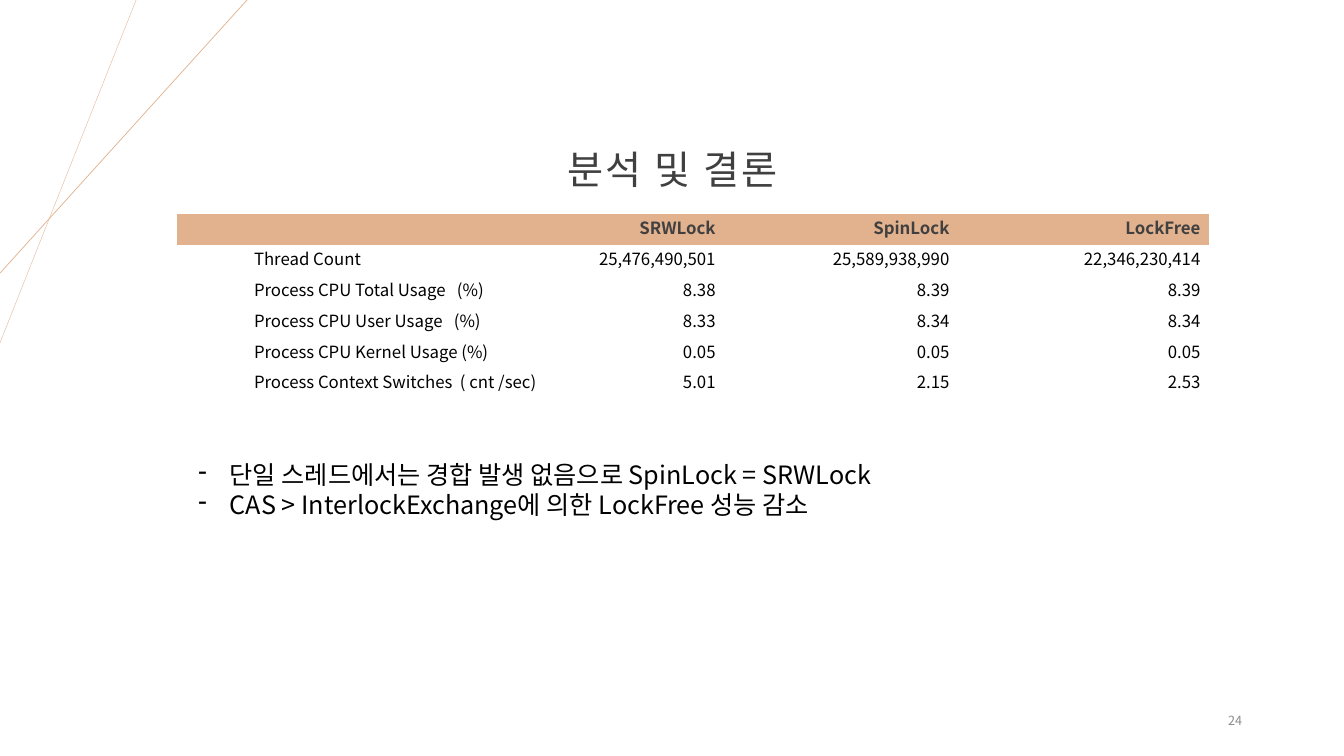
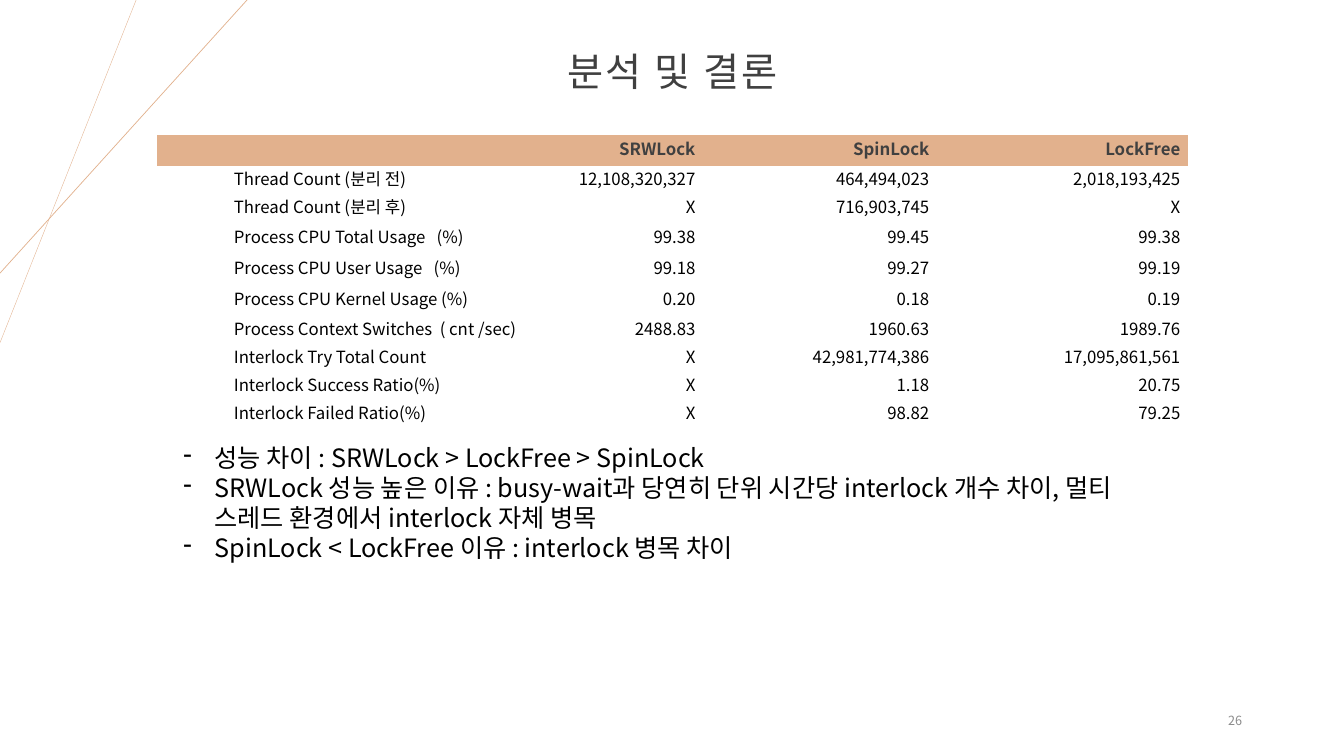
from lxml.etree import SubElement
from pptx import Presentation
from pptx.dml.color import RGBColor
from pptx.enum.shapes import MSO_CONNECTOR
from pptx.enum.text import MSO_ANCHOR as Anchor, PP_ALIGN as Align
from pptx.oxml.ns import qn
from pptx.util import Inches, Pt

# Shared style
FONT = "Noto Sans CJK KR"
PEACH = RGBColor(0xE2, 0xB1, 0x8D)
DARK = RGBColor(0x40, 0x40, 0x40)
GRAY = RGBColor(0x8C, 0x8C, 0x8C)
BLACK = RGBColor(0, 0, 0)
PLAIN_TABLE = "{2D5ABB26-0587-4C30-8999-92F81FD0307C}"

# Lengths are percentages of the slide's width and height
RAYS = [(10.13, 45.33, 0.25), (18.38, 36.13, 0.5)]
COLUMNS = [27.6, 13.05, 17.4, 18.68]
TALL, SHORT = 4.13, 3.73
TITLE = "분석 및 결론"
HEADER = ["", "SRWLock", "SpinLock", "LockFree"]


class SlideWriter:
    """Holds the deck, its style and the current slide."""

    def __init__(self):
        self.deck = Presentation()
        self.deck.slide_width = Inches(13.33)
        self.deck.slide_height = Inches(7.5)
        self.page = None

    def x(self, share):
        return round(self.deck.slide_width * share / 100)

    def y(self, share):
        return round(self.deck.slide_height * share / 100)

    def frame(self, left, top, width, height):
        return self.x(left), self.y(top), self.x(width), self.y(height)

    def new_page(self, number):
        self.page = self.deck.slides.add_slide(self.deck.slide_layouts[6])
        for across, down, weight in RAYS:
            self.ray(across, down, weight)
        self.text([str(number)], (70.65, 92.67, 22.5, 5.33), 9, GRAY,
                  Align.RIGHT, Anchor.MIDDLE)

    def ray(self, across, down, weight):
        line = self.page.shapes.add_connector(
            MSO_CONNECTOR.STRAIGHT, self.x(across), 0, 0, self.y(down))
        line.line.color.rgb = PEACH
        line.line.width = Pt(weight)
        SubElement(line._element.spPr, qn("a:effectLst"))

    def style(self, para, size, color, align=Align.LEFT, bold=False):
        para.alignment = align
        for span in para.runs:
            span.font.size = Pt(size)
            span.font.bold = bold
            span.font.color.rgb = color
            span.font.name = FONT
            SubElement(span._r.get_or_add_rPr(), qn("a:ea"), typeface=FONT)

    def text(self, lines, place, size, color, align=Align.LEFT, anchor=Anchor.TOP):
        box = self.page.shapes.add_textbox(*self.frame(*place))
        frame = box.text_frame
        frame.word_wrap = True
        frame.vertical_anchor = anchor
        frame.text = "\n".join(lines)
        for para in frame.paragraphs:
            self.style(para, size, color, align)
        return frame.paragraphs

    def title(self, top, height):
        para = self.text([TITLE], (15.5, top, 69.08, height), 28, DARK,
                         Align.CENTER, Anchor.MIDDLE)[0]
        para.line_spacing = 0.9
        para.runs[0]._r.get_or_add_rPr().set("spc", "150")

    def bullets(self, lines, place):
        for para in self.text(lines, place, 18, BLACK):
            para.line_spacing = Pt(21.5)
            props = para._p.get_or_add_pPr()
            props.set("marL", str(Inches(0.31)))
            props.set("indent", str(-Inches(0.31)))
            SubElement(props, qn("a:buChar"), char="-")

    def table(self, rows, heights, left, top):
        place = self.frame(left, top, sum(COLUMNS), sum(heights))
        table = self.page.shapes.add_table(len(rows), len(COLUMNS), *place).table
        table.first_row = table.horz_banding = False
        table._tbl.tblPr.find(qn("a:tableStyleId")).text = PLAIN_TABLE
        for column, width in zip(table.columns, COLUMNS):
            column.width = self.x(width)
        for row, height in zip(table.rows, heights):
            row.height = self.y(height)
        for r, values in enumerate(rows):
            for c, value in enumerate(values):
                self.cell(table.cell(r, c), value, header=r == 0, label=c == 0)

    def cell(self, cell, value, header, label):
        cell.vertical_anchor = Anchor.MIDDLE
        cell.margin_left = Inches(0.26 if label else 0.08)
        cell.margin_right = Inches(0.08)
        cell.margin_top = cell.margin_bottom = Inches(0.04)
        if header:
            cell.fill.solid()
            cell.fill.fore_color.rgb = PEACH
        else:
            cell.fill.background()
        para = cell.text_frame.paragraphs[0]
        para.text = value
        para.line_spacing = Pt(14)
        self.style(para, 12, DARK if header else BLACK,
                   Align.LEFT if label else Align.RIGHT, header)
        if label:
            para.level = 1
            para._p.get_or_add_pPr().set("marL", str(Inches(0.5)))
        if not value:
            SubElement(para._p, qn("a:endParaRPr"), sz="1200")


def main():
    writer = SlideWriter()

    # Single thread
    writer.new_page(24)
    writer.title(13.07, 19.33)
    writer.bullets([
        "단일 스레드에서는 경합 발생 없음으로 SpinLock = SRWLock",
        "CAS > InterlockExchange에 의한 LockFree 성능 감소",
    ], (14.03, 60.13, 66.68, 9.47))
    writer.table([
        HEADER,
        ["Thread Count", "25,476,490,501", "25,589,938,990", "22,346,230,414"],
        ["Process CPU Total Usage   (%)", "8.38", "8.39", "8.39"],
        ["Process CPU User Usage   (%)", "8.33", "8.34", "8.34"],
        ["Process CPU Kernel Usage (%)", "0.05", "0.05", "0.05"],
        ["Process Context Switches  ( cnt /sec)", "5.01", "2.15", "2.53"],
    ], [TALL] * 5 + [SHORT], 13.2, 28.27)

    # Many threads
    writer.new_page(26)
    writer.title(3.2, 13.07)
    writer.bullets([
        "성능 차이 : SRWLock > LockFree > SpinLock",
        "SRWLock 성능 높은 이유 : busy-wait과 당연히 단위 시간당 interlock 개수 차이, "
        "멀티 스레드 환경에서 interlock 자체 병목",
        "SpinLock < LockFree 이유 : interlock 병목 차이",
    ], (12.9, 57.87, 75.53, 21.6))
    writer.table([
        HEADER,
        ["Thread Count (분리 전)", "12,108,320,327", "464,494,023", "2,018,193,425"],
        ["Thread Count (분리 후)", "X", "716,903,745", "X"],
        ["Process CPU Total Usage   (%)", "99.38", "99.45", "99.38"],
        ["Process CPU User Usage   (%)", "99.18", "99.27", "99.19"],
        ["Process CPU Kernel Usage (%)", "0.20", "0.18", "0.19"],
        ["Process Context Switches  ( cnt /sec)", "2488.83", "1960.63", "1989.76"],
        ["Interlock Try Total Count", "X", "42,981,774,386", "17,095,861,561"],
        ["Interlock Success Ratio(%)", "X", "1.18", "20.75"],
        ["Interlock Failed Ratio(%)", "X", "98.82", "79.25"],
    ], [TALL] + [SHORT] * 2 + [TALL] * 3 + [SHORT] * 4, 11.7, 17.87)

    writer.deck.save("out.pptx")


if __name__ == "__main__":
    main()
